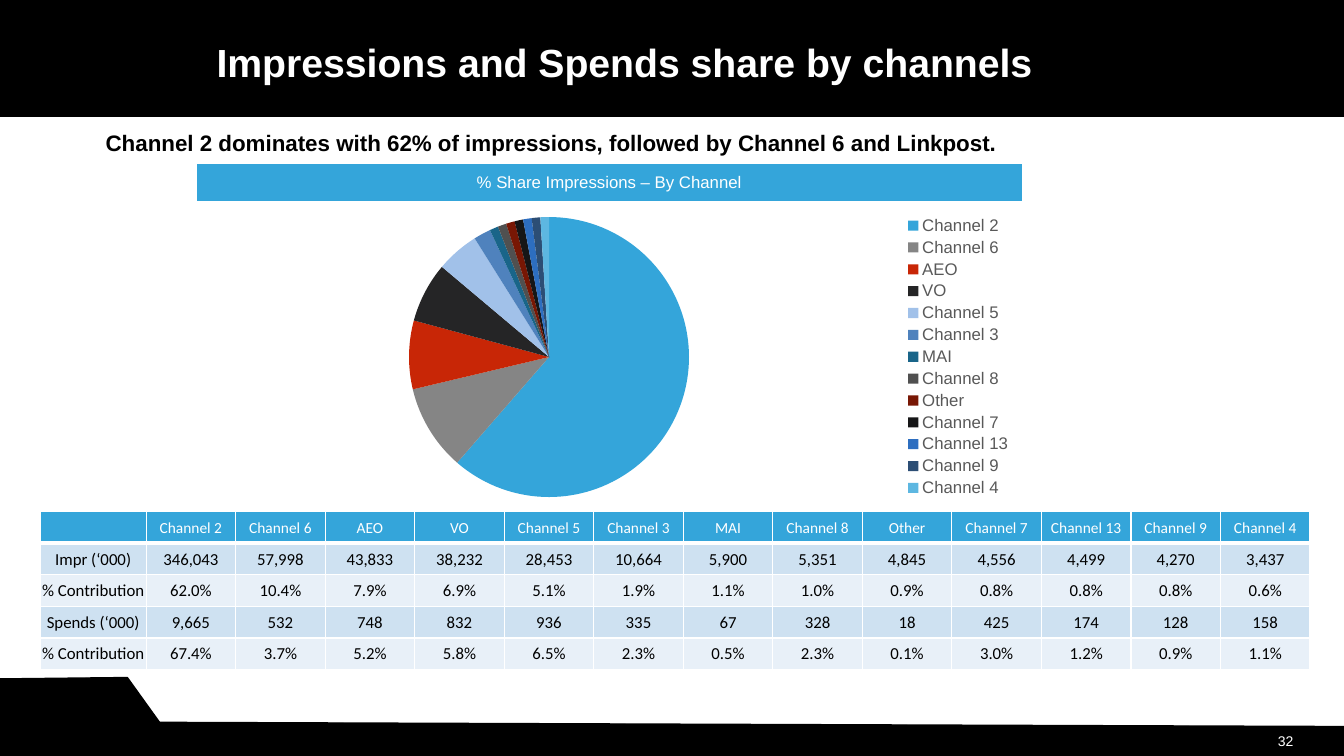
from lxml import etree
from pptx import Presentation
from pptx.chart import data
from pptx.dml.color import RGBColor
from pptx.enum import chart as ch, shapes, text
from pptx.oxml import ns
from pptx.util import Pt

TITLE = "Impressions and Spends share by channels"
CLAIM = "Channel 2 dominates with 62% of impressions, followed by Channel 6 and Linkpost."
HEAD = "% Share Impressions – By Channel"
PAGE = "32"
# channel, share in the pie, slice colour
SLICES = [
    ("Channel 2", 62, "34A5DA"), ("Channel 6", 10, "858585"),
    ("AEO", 8, "C82606"), ("VO", 7, "252526"),
    ("Channel 5", 5, "A1C1E9"), ("Channel 3", 2, "4F82BD"),
    ("MAI", 1, "196589"), ("Channel 8", 1, "505050"),
    ("Other", 1, "781704"), ("Channel 7", 1, "161617"),
    ("Channel 13", 1, "2D6EC0"), ("Channel 9", 1, "2C4E75"),
    ("Channel 4", 1, "5DB7E1"),
]
NAMES, SHARES, HUES = zip(*SLICES)
ROWS = [
    ["", *NAMES],
    ["Impr (‘000)", "346,043", "57,998", "43,833", "38,232", "28,453", "10,664",
     "5,900", "5,351", "4,845", "4,556", "4,499", "4,270", "3,437"],
    ["% Contribution", "62.0%", "10.4%", "7.9%", "6.9%", "5.1%", "1.9%",
     "1.1%", "1.0%", "0.9%", "0.8%", "0.8%", "0.8%", "0.6%"],
    ["Spends (‘000)", "9,665", "532", "748", "832", "936", "335",
     "67", "328", "18", "425", "174", "128", "158"],
    ["% Contribution", "67.4%", "3.7%", "5.2%", "5.8%", "6.5%", "2.3%",
     "0.5%", "2.3%", "0.1%", "3.0%", "1.2%", "0.9%", "1.1%"],
]
BLACK, WHITE, BLUE = "000000", "FFFFFF", "34A5DA"
BANDS = ["E8F0F8", "CEE1F1"]
BASE = [(0, 484.6), (91.4, 483.8), (113.8, 516.2), (961.2, 519.1), (960, 540), (0, 540)]
PLOT = {"x": 0.257, "y": 0.047, "w": 0.34, "h": 0.908}


def rgb(code):
    return RGBColor.from_string(code)


def style(font, size, hue, name="Arial", bold=False):
    look = {"size": Pt(size), "name": name, "bold": bold}
    for key, val in look.items():
        setattr(font, key, val)
    font.color.rgb = rgb(hue)


def paint(shape, hue):
    shape.shadow.inherit = False
    shape.fill.solid()
    shape.fill.fore_color.rgb = rgb(hue)
    shape.line.color.rgb = rgb(hue)
    shape.line.width = Pt(1)


def write(frame, words, size, hue, align="LEFT", **look):
    para = frame.paragraphs[0]
    para.alignment = getattr(text.PP_ALIGN, align)
    run = para.add_run()
    run.text = words
    style(run.font, size, hue, **look)


def label(slide, box, words, size, hue, **look):
    frame = slide.shapes.add_textbox(*map(Pt, box)).text_frame
    frame.word_wrap = True
    frame.vertical_anchor = text.MSO_ANCHOR.MIDDLE
    write(frame, words, size, hue, **look)


def fill_cell(cell, words, size, hue, back, pads, base, **look):
    """Write one table cell; base is the width of its lower border."""
    for side, pad in zip(("left", "top", "right", "bottom"), pads):
        setattr(cell, "margin_" + side, Pt(pad))
    cell.vertical_anchor = text.MSO_ANCHOR.MIDDLE
    write(cell.text_frame, words, size, hue, "CENTER", **look)
    props = cell._tc.get_or_add_tcPr()
    for tag, wide in (("lnL", 1), ("lnR", 1), ("lnT", 1), ("lnB", base)):
        line = etree.SubElement(props, ns.qn("a:" + tag), w=str(Pt(wide)))
        solid = etree.SubElement(line, ns.qn("a:solidFill"))
        etree.SubElement(solid, ns.qn("a:srgbClr"), val=WHITE)
    cell.fill.solid()
    cell.fill.fore_color.rgb = rgb(back)


def add_grid(slide, left, top, cols, rows):
    box = map(Pt, (left, top, sum(cols), sum(rows)))
    grid = slide.shapes.add_table(len(rows), len(cols), *box).table
    grid.horz_banding = False
    for col, wide in zip(grid.columns, cols):
        col.width = Pt(wide)
    for row, high in zip(grid.rows, rows):
        row.height = Pt(high)
    return grid


def add_pie(slide):
    feed = data.CategoryChartData()
    feed.categories = NAMES
    feed.add_series("Series 1", SHARES)
    box = map(Pt, (140.4, 144.7, 589.7, 220.3))
    pie = slide.shapes.add_chart(ch.XL_CHART_TYPE.PIE, *box, feed).chart
    style(pie.font, 10, BLACK)
    pie.has_title = False
    pie.has_legend = True
    pie.legend.position = ch.XL_LEGEND_POSITION.RIGHT
    pie.legend.include_in_layout = False
    style(pie.legend.font, 12, "595959")
    plot = pie.plots[0]
    plot.vary_by_categories = True
    for spot, hue in enumerate(HUES):
        fill = plot.series[0].points[spot].format.fill
        fill.solid()
        fill.fore_color.rgb = rgb(hue)
    area = pie._chartSpace.chart.plotArea
    for old in area.findall(ns.qn("c:layout")):
        area.remove(old)
    frame = etree.Element(ns.qn("c:layout"))
    area.insert(0, frame)
    place = etree.SubElement(frame, ns.qn("c:manualLayout"))
    rules = {"layoutTarget": "inner", "xMode": "edge", "yMode": "edge", **PLOT}
    for tag, val in rules.items():
        etree.SubElement(place, ns.qn("c:" + tag), val=str(val))


def main():
    deck = Presentation()
    deck.slide_width, deck.slide_height = Pt(960), Pt(540)
    slide = deck.slides.add_slide(deck.slide_layouts[6])

    path = slide.shapes.build_freeform(*BASE[0], scale=Pt(1))
    path.add_line_segments(BASE[1:], close=True)
    paint(path.convert_to_shape(), BLACK)
    band = map(Pt, (0, 0, 960, 82.8))
    paint(slide.shapes.add_shape(shapes.MSO_SHAPE.RECTANGLE, *band), BLACK)

    label(slide, (854.6, 521.3, 76.3, 15.8), PAGE, 10, WHITE, align="RIGHT")
    label(slide, (147.6, 13.5, 663, 62), TITLE, 28, WHITE, bold=True)
    label(slide, (68.4, 86, 820, 31), CLAIM, 16, BLACK, bold=True)
    add_pie(slide)

    grid = add_grid(slide, 28.8, 365.3, [75.6] + [63.95] * len(NAMES), [22.6] * len(ROWS))
    for r, row in enumerate(ROWS):
        size, hue, back, base = (12, BLACK, BANDS[r % 2], 1) if r else (11, WHITE, BLUE, 3)
        for c, words in enumerate(row):
            fill_cell(grid.cell(r, c), words, size, hue, back,
                      (0.7, 0.7, 0.7, 0), base, name="Calibri")
    head = add_grid(slide, 140.4, 116.7, [589.7], [28])
    fill_cell(head.cell(0, 0), HEAD, 12, WHITE, BLUE, (6, 3, 6, 3), 3)
    deck.save("out.pptx")


if __name__ == "__main__":
    main()
